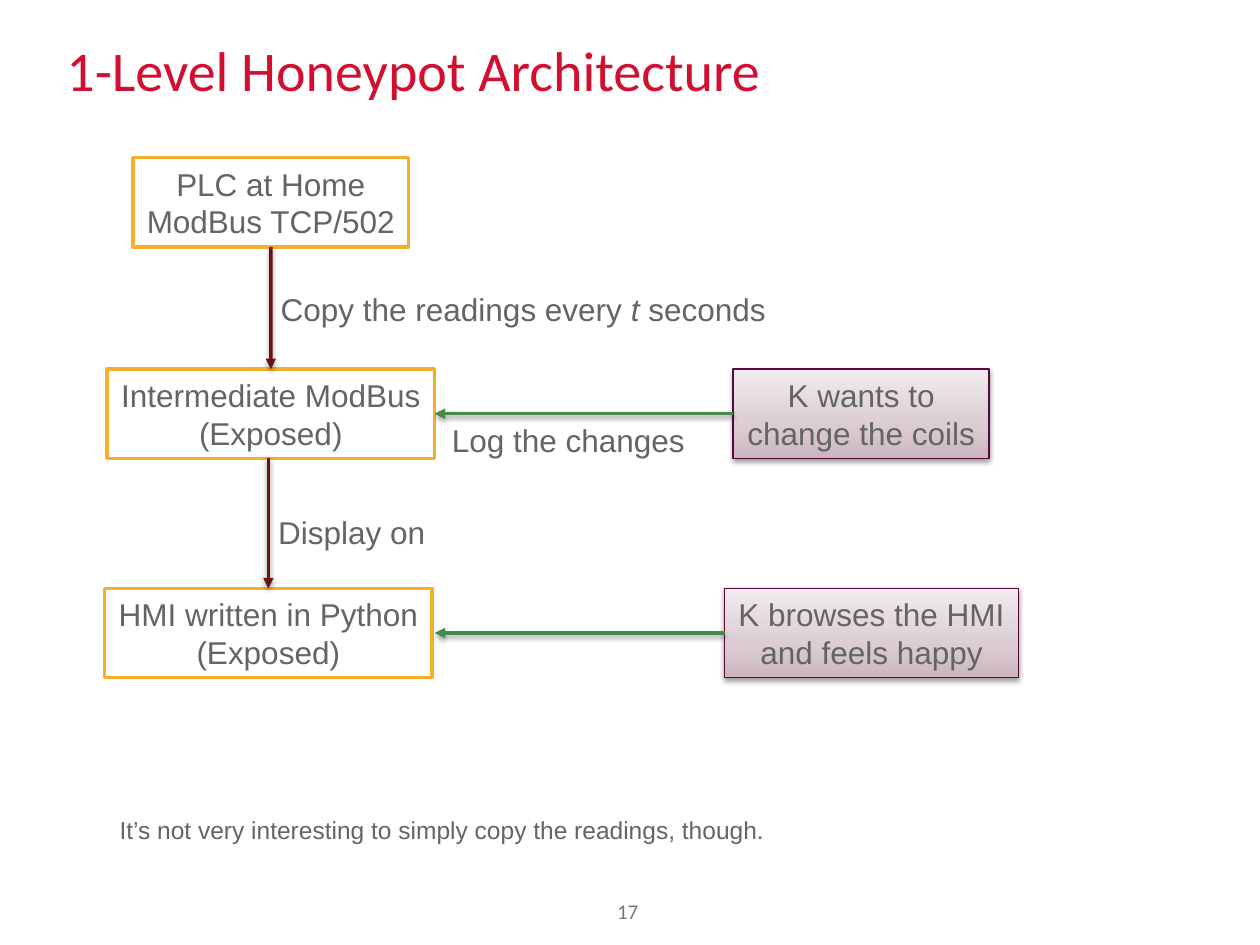
from dataclasses import dataclass
from typing import Optional

from lxml import etree
from pptx import Presentation
from pptx import util as u
from pptx.dml.color import RGBColor
from pptx.enum import shapes, text
from pptx.oxml import ns

RED = RGBColor(0xD2, 0x0F, 0x30)
GRAY = RGBColor(0x63, 0x64, 0x66)
PAGE_GRAY = RGBColor(0x76, 0x77, 0x79)
WHITE = RGBColor(0xFF, 0xFF, 0xFF)
BLACK = RGBColor(0x00, 0x00, 0x00)
ORANGE = RGBColor(0xF6, 0xAE, 0x2F)
PLUM = RGBColor(0x5A, 0x07, 0x3A)
MAROON = RGBColor(0x67, 0x13, 0x17)
GREEN = RGBColor(0x48, 0x89, 0x4A)
PLUM_STOPS = (
    (0, RGBColor(0xCB, 0xB5, 0xBE)),
    (35, RGBColor(0xDA, 0xCC, 0xD1)),
    (100, RGBColor(0xF1, 0xEC, 0xEE)),
)

BOX_HEIGHT = 1.8
TOP, LEFT, BOTTOM, RIGHT = range(4)
PLC_TOP, MODBUS_TOP, HMI_TOP = 3.18, 7.44, 11.86


@dataclass
class Box:
    name: str
    left: float
    top: float
    width: float
    words: str
    attacker: bool = False


@dataclass
class Label:
    left: float
    top: float
    width: float
    height: float
    runs: tuple
    size: float = 18
    font: str = "Arial"
    color: RGBColor = GRAY
    wrap: bool = False
    spacing: Optional[float] = None


@dataclass
class Arrow:
    start: tuple
    end: tuple
    color: RGBColor
    source: Optional[tuple] = None
    target: Optional[tuple] = None


BOXES = (
    Box("plc", 2.68, PLC_TOP, 5.56, "PLC at Home\nModBus TCP/502"),
    Box("hmi", 2.11, HMI_TOP, 6.6, "HMI written in Python\n(Exposed)"),
    Box("modbus", 2.16, MODBUS_TOP, 6.6, "Intermediate ModBus\n(Exposed)"),
    Box("changer", 14.78, MODBUS_TOP, 5.16, "K wants to\nchange the coils", True),
    Box("browser", 14.61, HMI_TOP, 5.92, "K browses the HMI\vand feels happy", True),
)

ARROWS = (
    Arrow((5.46, PLC_TOP + BOX_HEIGHT), (5.46, MODBUS_TOP), MAROON,
          ("plc", BOTTOM), ("modbus", TOP)),
    Arrow((5.41, MODBUS_TOP + BOX_HEIGHT), (5.41, HMI_TOP), MAROON,
          target=("hmi", TOP)),
    Arrow((14.78, MODBUS_TOP + BOX_HEIGHT / 2), (8.76, MODBUS_TOP + BOX_HEIGHT / 2), GREEN,
          ("changer", LEFT), ("modbus", RIGHT)),
    Arrow((14.61, HMI_TOP + BOX_HEIGHT / 2), (8.76, HMI_TOP + BOX_HEIGHT / 2), GREEN,
          source=("browser", LEFT)),
)

LABELS = (
    Label(1.09, 0.74, 22.5, 1.98, ("1-Level Honeypot Architecture",),
          32, "Calibri", RED, True, 0.9),
    Label(12.19, 17.98, 1.04, 0.76, ("17",), 12, "Calibri", PAGE_GRAY),
    Label(5.41, 5.72, 10.39, 1.02, ("Copy the readings every ", "t", " seconds")),
    Label(5.36, 10.21, 3.5, 1.02, ("Display on",)),
    Label(8.86, 8.36, 5.26, 1.02, ("Log the changes",)),
    Label(2.16, 16.31, 13.56, 0.86,
          ("It’s not very interesting to simply copy the readings, though.",), 14),
)


def add_element(parent, tag: str, **attributes):
    element = etree.SubElement(parent, ns.qn(tag))
    for key, value in attributes.items():
        element.set(key, str(value))
    return element


def add_color(parent, color: RGBColor):
    return add_element(parent, "a:srgbClr", val=color)


def add_shadow(effects) -> None:
    shadow = add_element(effects, "a:outerShdw", blurRad=u.Pt(3.1), dist=u.Pt(1.6),
                         dir=5400000, rotWithShape=0)
    add_element(add_color(shadow, BLACK), "a:alpha", val=38000)


def fill_gradient(shape, stops: tuple) -> None:
    shape.fill.gradient()
    shape.fill.gradient_angle = 90
    stop_list = shape.element.spPr.find(".//" + ns.qn("a:gsLst"))
    for stop in list(stop_list):
        stop_list.remove(stop)
    for percent, color in stops:
        add_color(add_element(stop_list, "a:gs", pos=percent * 1000), color)


def style_paragraph(paragraph, size: float, font: str, color: RGBColor) -> None:
    paragraph.font.size = u.Pt(size)
    paragraph.font.name = font
    paragraph.font.color.rgb = color


def draw_box(slide, box: Box):
    shape = slide.shapes.add_shape(shapes.MSO_SHAPE.RECTANGLE, u.Cm(box.left), u.Cm(box.top),
                                   u.Cm(box.width), u.Cm(BOX_HEIGHT))
    shape.shadow.inherit = False
    if box.attacker:
        fill_gradient(shape, PLUM_STOPS)
        add_shadow(shape.element.spPr.find(ns.qn("a:effectLst")))
    else:
        shape.fill.solid()
        shape.fill.fore_color.rgb = WHITE
    shape.line.color.rgb = PLUM if box.attacker else ORANGE
    shape.line.width = u.Pt(0.75 if box.attacker else 2)
    frame = shape.text_frame
    frame.text = box.words
    frame.word_wrap = False
    frame.auto_size = text.MSO_AUTO_SIZE.SHAPE_TO_FIT_TEXT
    for paragraph in frame.paragraphs:
        paragraph.alignment = text.PP_ALIGN.CENTER
        style_paragraph(paragraph, 18, "Arial", GRAY)
    return shape


def draw_arrow(slide, arrow: Arrow, boxes: dict) -> None:
    points = [u.Cm(value) for value in arrow.start + arrow.end]
    connector = slide.shapes.add_connector(shapes.MSO_CONNECTOR.STRAIGHT, *points)
    if arrow.source:
        name, side = arrow.source
        connector.begin_connect(boxes[name], side)
    if arrow.target:
        name, side = arrow.target
        connector.end_connect(boxes[name], side)
    connector.line.color.rgb = arrow.color
    connector.line.width = u.Pt(2)
    properties = connector.element.spPr
    add_element(properties.find(ns.qn("a:ln")), "a:tailEnd", type="triangle")
    add_shadow(add_element(properties, "a:effectLst"))


def draw_label(slide, label: Label) -> None:
    frame = slide.shapes.add_textbox(u.Cm(label.left), u.Cm(label.top),
                                     u.Cm(label.width), u.Cm(label.height)).text_frame
    frame.word_wrap = label.wrap
    paragraph = frame.paragraphs[0]
    style_paragraph(paragraph, label.size, label.font, label.color)
    paragraph.line_spacing = label.spacing
    for words in label.runs:
        run = paragraph.add_run()
        run.text = words
        if words == "t":
            run.font.italic = True


def main() -> None:
    presentation = Presentation()
    presentation.slide_width = u.Cm(25.4)
    presentation.slide_height = u.Cm(19.05)
    slide = presentation.slides.add_slide(presentation.slide_layouts[6])
    boxes = {box.name: draw_box(slide, box) for box in BOXES}
    for arrow in ARROWS:
        draw_arrow(slide, arrow, boxes)
    for label in LABELS:
        draw_label(slide, label)
    presentation.save("out.pptx")


if __name__ == "__main__":
    main()
